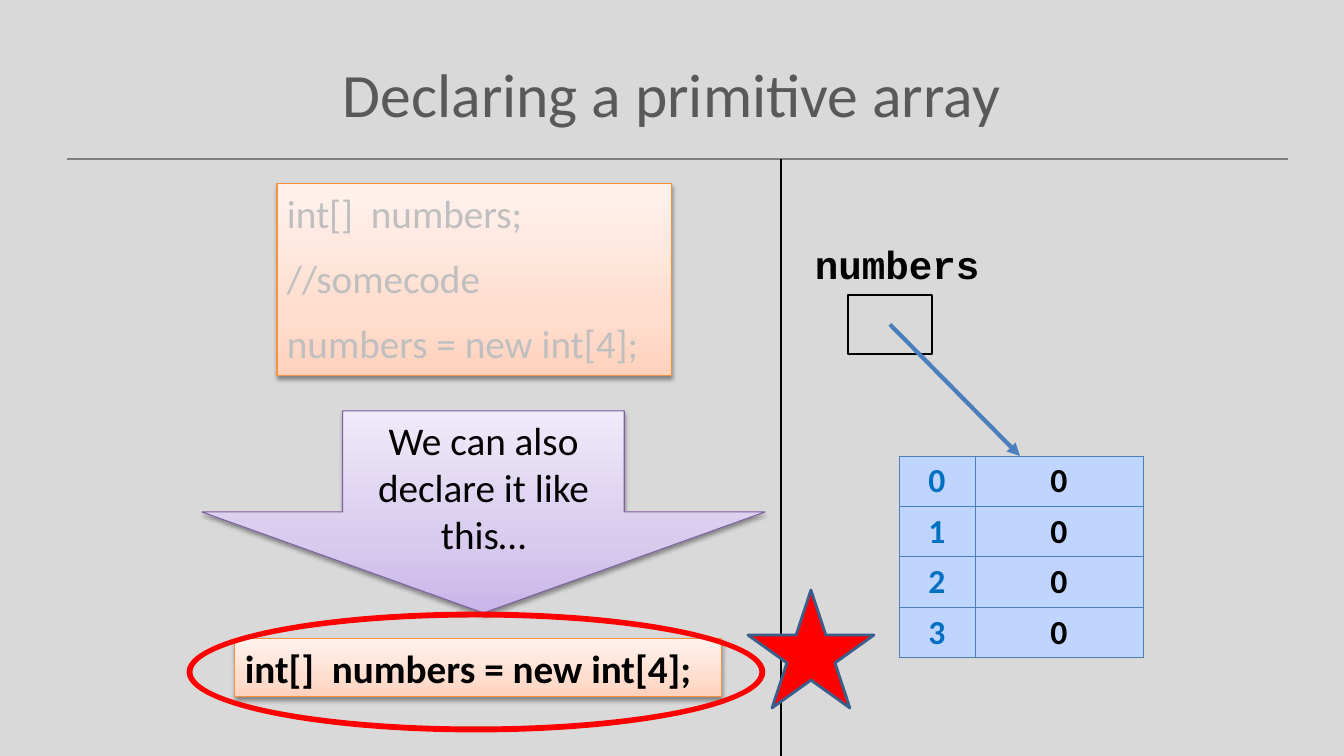
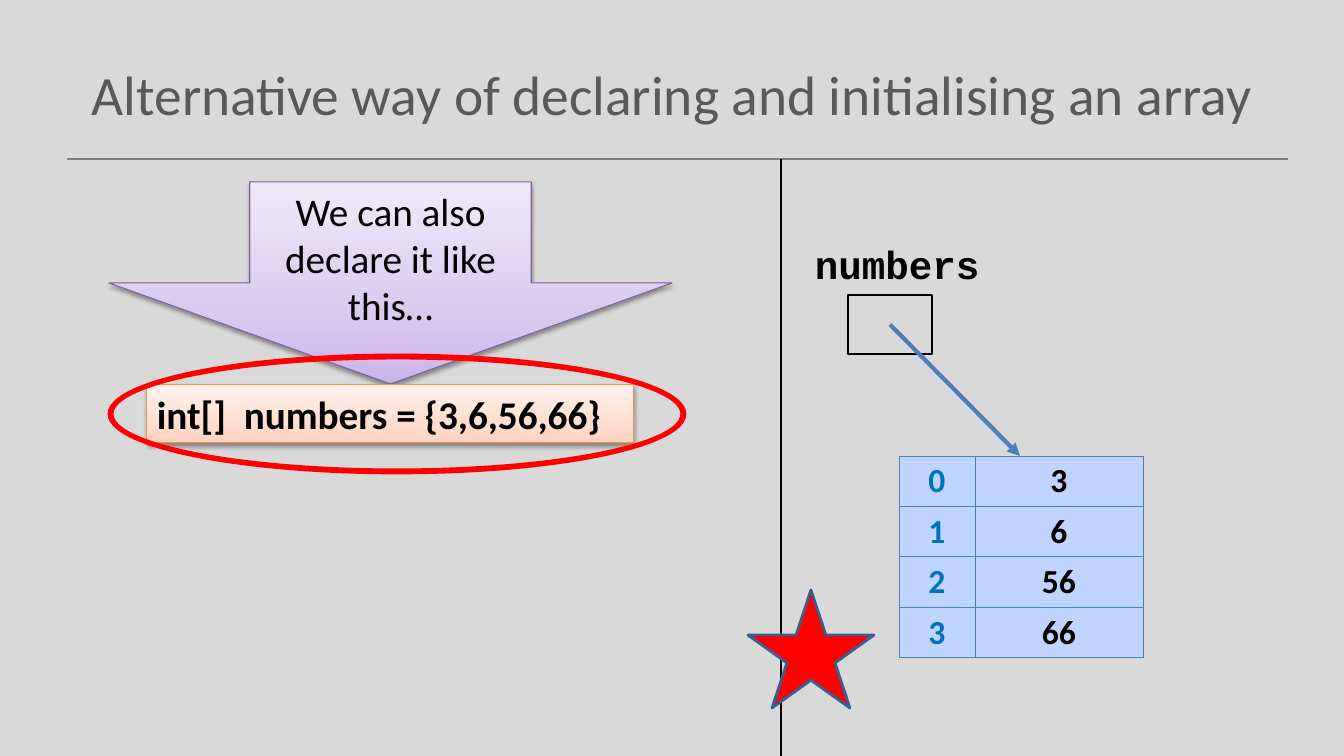
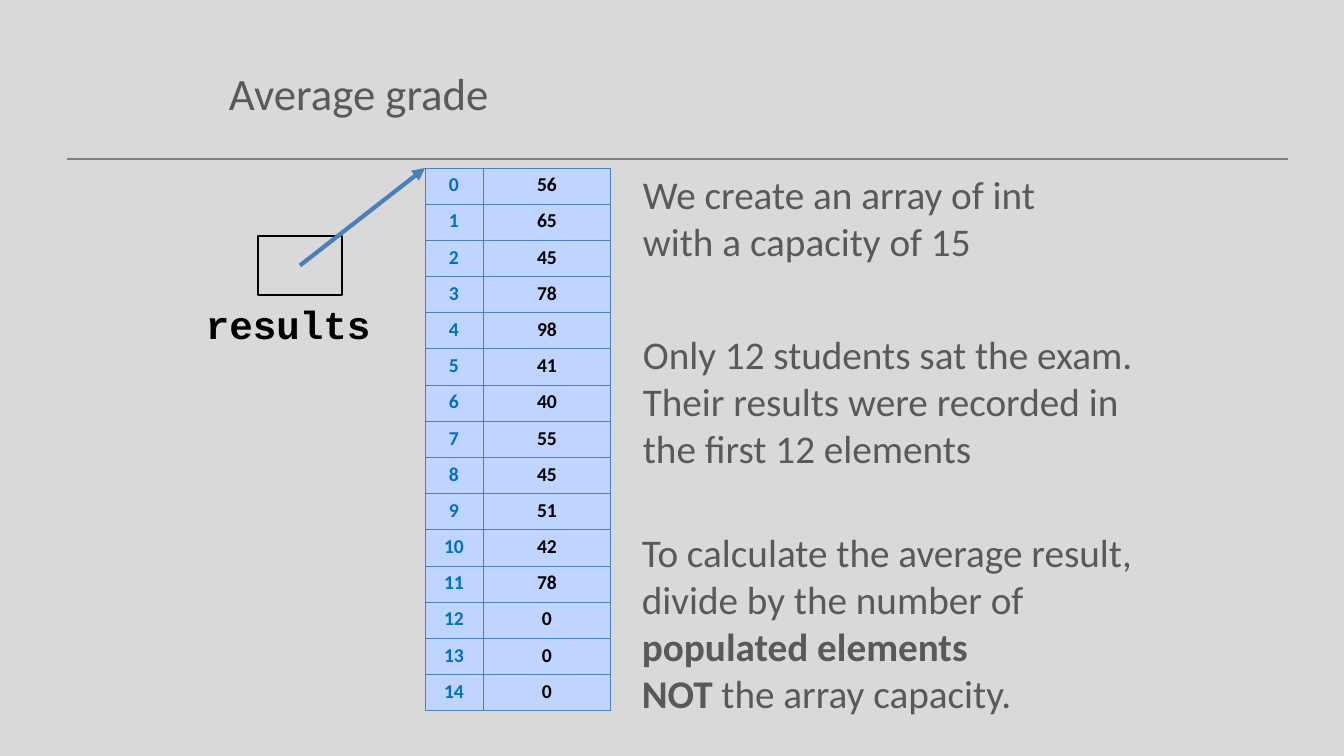
from copy import deepcopy

from pptx import Presentation
from pptx.dml.color import RGBColor
from pptx.enum.shapes import MSO_CONNECTOR, MSO_SHAPE as SHAPE
from pptx.enum.text import MSO_ANCHOR as ANCHOR, PP_ALIGN as ALIGN
from pptx.oxml import parse_xml
from pptx.oxml.ns import nsdecls, qn
from pptx.util import Pt

PX = 914400 / 100.8
SLIDE_W, SLIDE_H = 1344, 756
RULE_Y, DIVIDER_X = 159, 781

BACKDROP = RGBColor(0xD9, 0xD9, 0xD9)
RULE = RGBColor(0x80, 0x80, 0x80)
BODY = RGBColor(0x59, 0x59, 0x59)
BLACK = RGBColor(0, 0, 0)
FADED = RGBColor(0xBF, 0xBF, 0xBF)
BLUE = RGBColor(0x4B, 0x7E, 0xBC)
INDEX_BLUE = RGBColor(0x00, 0x70, 0xC0)
CELL_BLUE = RGBColor(0xBF, 0xD4, 0xFF)
RED = RGBColor(0xFF, 0, 0)
STAR_EDGE = RGBColor(0x3A, 0x5F, 0x8C)
ORANGE = RGBColor(0xF6, 0x92, 0x40)
PURPLE = RGBColor(0x7D, 0x60, 0xA0)
PEACH_FADE = ((0, RGBColor(0xFF, 0xD2, 0xBD)),
              (0.35, RGBColor(0xFF, 0xDE, 0xD0)),
              (1, RGBColor(0xFF, 0xF2, 0xED)))
LILAC_FADE = ((0, RGBColor(0xC9, 0xB5, 0xE8)),
              (0.35, RGBColor(0xD8, 0xCB, 0xEE)),
              (1, RGBColor(0xF0, 0xEA, 0xF9)))

SANS, MONO = "Calibri", "Courier New"
GRADES = [56, 65, 45, 78, 98, 41, 40, 55, 45, 51, 42, 78, 0, 0, 0]


def px(*lengths):
    return [round(length * PX) for length in lengths]


def write(frame, *lines, size=28, color=BLACK, bold=False, font=SANS,
          align=ALIGN.LEFT, anchor=ANCHOR.TOP, gap=0):
    """Fill a frame; a line is a string or a list of (text, bold) runs."""
    frame.word_wrap = True
    frame.vertical_anchor = anchor
    for number, line in enumerate(lines):
        paragraph = frame.add_paragraph() if number else frame.paragraphs[0]
        paragraph.alignment = align
        if number and gap:
            paragraph.space_before = Pt(gap)
        for text, heavy in [(line, bold)] if isinstance(line, str) else line:
            run = paragraph.add_run()
            run.text = text
            run.font.name, run.font.size = font, Pt(size)
            run.font.bold, run.font.color.rgb = heavy, color


def add_text(slide, box, *lines, **style):
    write(slide.shapes.add_textbox(*px(*box)).text_frame, *lines, **style)


def add_line(slide, start, end, color, width, arrow=False):
    line = slide.shapes.add_connector(MSO_CONNECTOR.STRAIGHT, *px(*start, *end))
    line.line.color.rgb, line.line.width = color, Pt(width)
    properties = line._element.spPr
    if arrow:
        properties.find(qn("a:ln")).append(
            parse_xml(f'<a:tailEnd {nsdecls("a")} type="triangle"/>'))
    properties.append(parse_xml(f'<a:effectLst {nsdecls("a")}/>'))


def add_shape(slide, kind, box, edge, width, fill=None):
    shape = slide.shapes.add_shape(kind, *px(*box))
    shape.shadow.inherit = False
    shape.line.color.rgb, shape.line.width = edge, Pt(width)
    if fill is None:
        shape.fill.background()
    else:
        shape.fill.solid()
        shape.fill.fore_color.rgb = fill
    return shape


def add_raised_shape(slide, kind, box, edge, fade):
    """Add a shape with a vertical gradient and a soft shadow below it."""
    shape = add_shape(slide, kind, box, edge, 0.75)
    shape.fill.gradient()
    shape.fill.gradient_angle = 90
    properties = shape._element.spPr
    stop_list = properties.find(".//" + qn("a:gsLst"))
    stop_list.append(deepcopy(stop_list[0]))
    for stop, (position, color) in zip(shape.fill.gradient_stops, fade):
        stop.position, stop.color.rgb = position, color
    properties.find(qn("a:effectLst")).append(parse_xml(
        f'<a:outerShdw {nsdecls("a")} blurRad="40000" dist="20000" '
        'dir="5400000" rotWithShape="0"><a:srgbClr val="000000">'
        '<a:alpha val="38000"/></a:srgbClr></a:outerShdw>'))
    return shape


def code_panel(slide, box, *lines, **style):
    panel = add_raised_shape(slide, SHAPE.RECTANGLE, box, ORANGE, PEACH_FADE)
    write(panel.text_frame, *lines, **style)


def declare_arrow(slide, left, top):
    arrow = add_raised_shape(slide, SHAPE.DOWN_ARROW, (left, top, 563, 202),
                             PURPLE, LILAC_FADE)
    write(arrow.text_frame, "We can also declare it like this…",
          align=ALIGN.CENTER, anchor=ANCHOR.MIDDLE)


def ringed_code(slide, left, top, code, ring_offset):
    code_panel(slide, (left, top, 487, 58), code, bold=True)
    dx, dy = ring_offset
    ring = add_shape(slide, SHAPE.DONUT, (left + dx, top + dy, 576, 118),
                     RED, 2, RED)
    ring.adjustments[0] = 0.026


def border_cell(cell):
    properties = cell._tc.get_or_add_tcPr()
    for side in "LRTB":
        properties.append(parse_xml(
            f'<a:ln{side} {nsdecls("a")} w="9525"><a:solidFill>'
            f'<a:srgbClr val="{BLUE}"/></a:solidFill></a:ln{side}>'))


def array_table(slide, box, index_width, values, size):
    left, top, width, height = box
    table = slide.shapes.add_table(len(values), 2, *px(*box)).table
    table.first_row = table.horz_banding = False
    widths = px(index_width, width - index_width)
    for column, column_width in zip(table.columns, widths):
        column.width = column_width
    for index, value in enumerate(values):
        table.rows[index].height = px(height / len(values))[0]
        entries = (index, INDEX_BLUE), (value, BLACK)
        for cell, (entry, color) in zip(table.rows[index].cells, entries):
            border_cell(cell)
            cell.fill.solid()
            cell.fill.fore_color.rgb = CELL_BLUE
            write(cell.text_frame, str(entry), size=size, color=color,
                  bold=True, align=ALIGN.CENTER)


def array_variable(slide, left, top, name, name_offset, target):
    """Draw the named variable box and its reference to the array."""
    width, height = 84, 59
    add_shape(slide, SHAPE.RECTANGLE, (left, top, width, height), BLACK, 1.5)
    dx, dy = name_offset
    add_text(slide, (left + dx, top + dy, 210, 58), name, font=MONO, bold=True)
    add_line(slide, (left + width / 2, top + height / 2), target, BLUE, 3,
             arrow=True)


def titled_slide(prs, title, box=(67, 30, 1210, 126), size=44,
                 align=ALIGN.CENTER):
    slide = prs.slides.add_slide(prs.slide_layouts[6])
    slide.background.fill.solid()
    slide.background.fill.fore_color.rgb = BACKDROP
    add_line(slide, (67, RULE_Y), (1288, RULE_Y), RULE, 1)
    add_text(slide, box, title, size=size, color=BODY, align=align,
             anchor=ANCHOR.MIDDLE)
    return slide


def memory_view(slide, values):
    """Fill the right side with the variable, its array and the star."""
    add_line(slide, (DIVIDER_X, RULE_Y), (DIVIDER_X, SLIDE_H), BLACK, 1)
    array_table(slide, (899, 456, 244, 202), 76, values, 24)
    array_variable(slide, 848, 295, "numbers", (-43, -60), (1020, 456))
    add_shape(slide, SHAPE.STAR_5_POINT, (748, 590, 126, 118), STAR_EDGE, 2, RED)


def declaring_slide(prs):
    slide = titled_slide(prs, "Declaring a primitive array")
    code_panel(slide, (277, 184, 395, 192), "int[]  numbers;", "//somecode",
               "numbers = new int[4];", color=FADED, gap=13)
    declare_arrow(slide, 202, 411)
    ringed_code(slide, 235, 639, "int[]  numbers = new int[4];", (-47, -26))
    memory_view(slide, [0, 0, 0, 0])


def initialising_slide(prs):
    slide = titled_slide(
        prs, "Alternative way of declaring and initialising an array", size=39.6)
    declare_arrow(slide, 109, 182)
    ringed_code(slide, 147, 385, "int[]  numbers = {3,6,56,66}", (-38, -30))
    memory_view(slide, [3, 6, 56, 66])


def average_slide(prs):
    slide = titled_slide(prs, "Average grade", (219, 30, 907, 126), 32,
                         ALIGN.LEFT)
    array_table(slide, (425, 168, 186, 543), 58, GRADES, 14)
    array_variable(slide, 258, 236, "results", (-62, 59), (425, 168))
    notes = (
        ((633, 154, 504, 126),
         ("We create an array of int", "with a capacity of 15")),
        ((633, 299, 526, 203),
         ("Only 12 students sat the exam.",
          "Their results were recorded in the first 12 elements")),
        ((632, 521, 540, 202),
         ("To calculate the average result,",
          [("divide by the number of ", False), ("populated elements", True)],
          [("NOT", True), (" the array capacity.", False)])),
    )
    for box, lines in notes:
        add_text(slide, box, *lines, color=BODY, anchor=ANCHOR.MIDDLE)


def main():
    prs = Presentation()
    prs.slide_width, prs.slide_height = px(SLIDE_W, SLIDE_H)
    declaring_slide(prs)
    initialising_slide(prs)
    average_slide(prs)
    prs.save("out.pptx")


if __name__ == "__main__":
    main()
